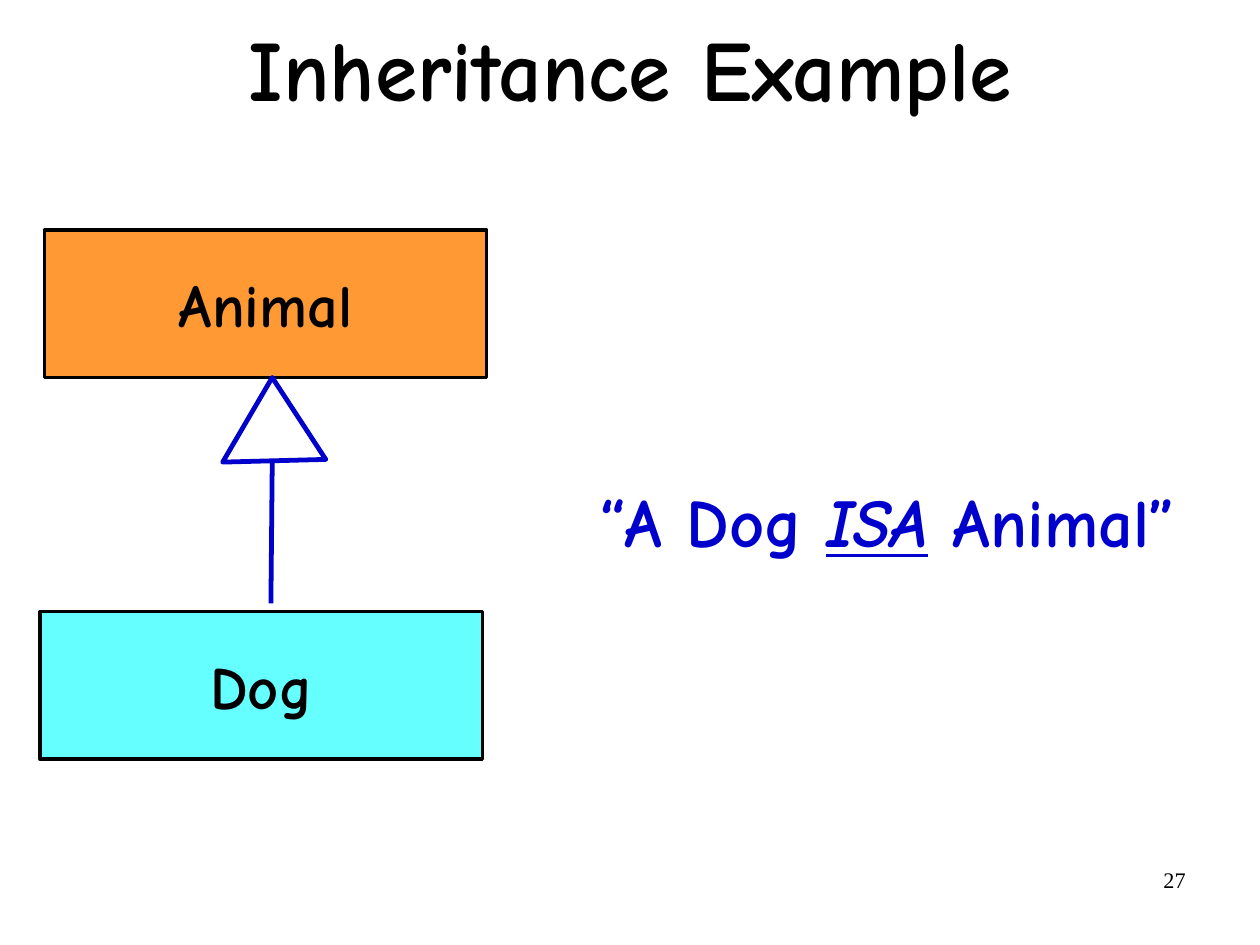
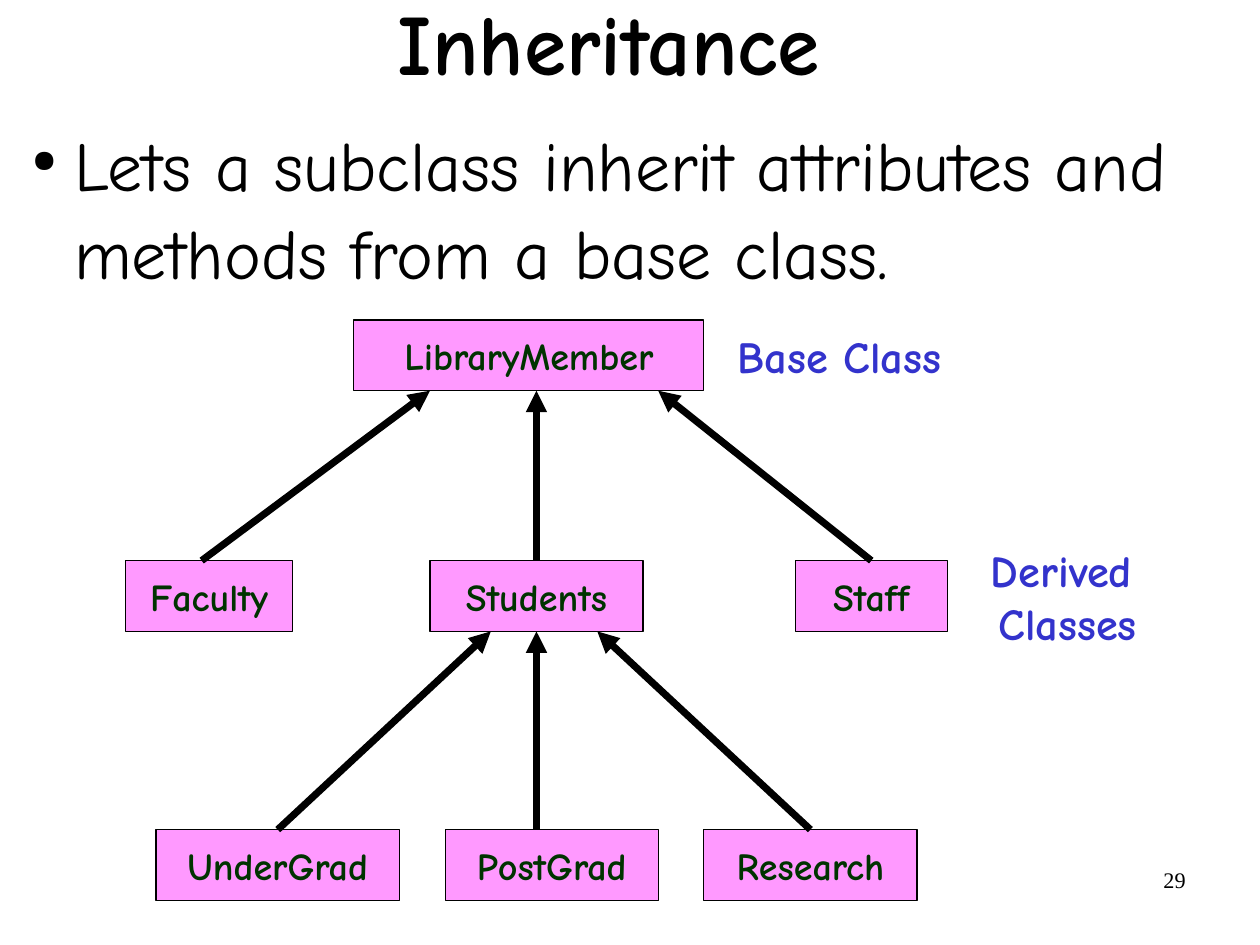
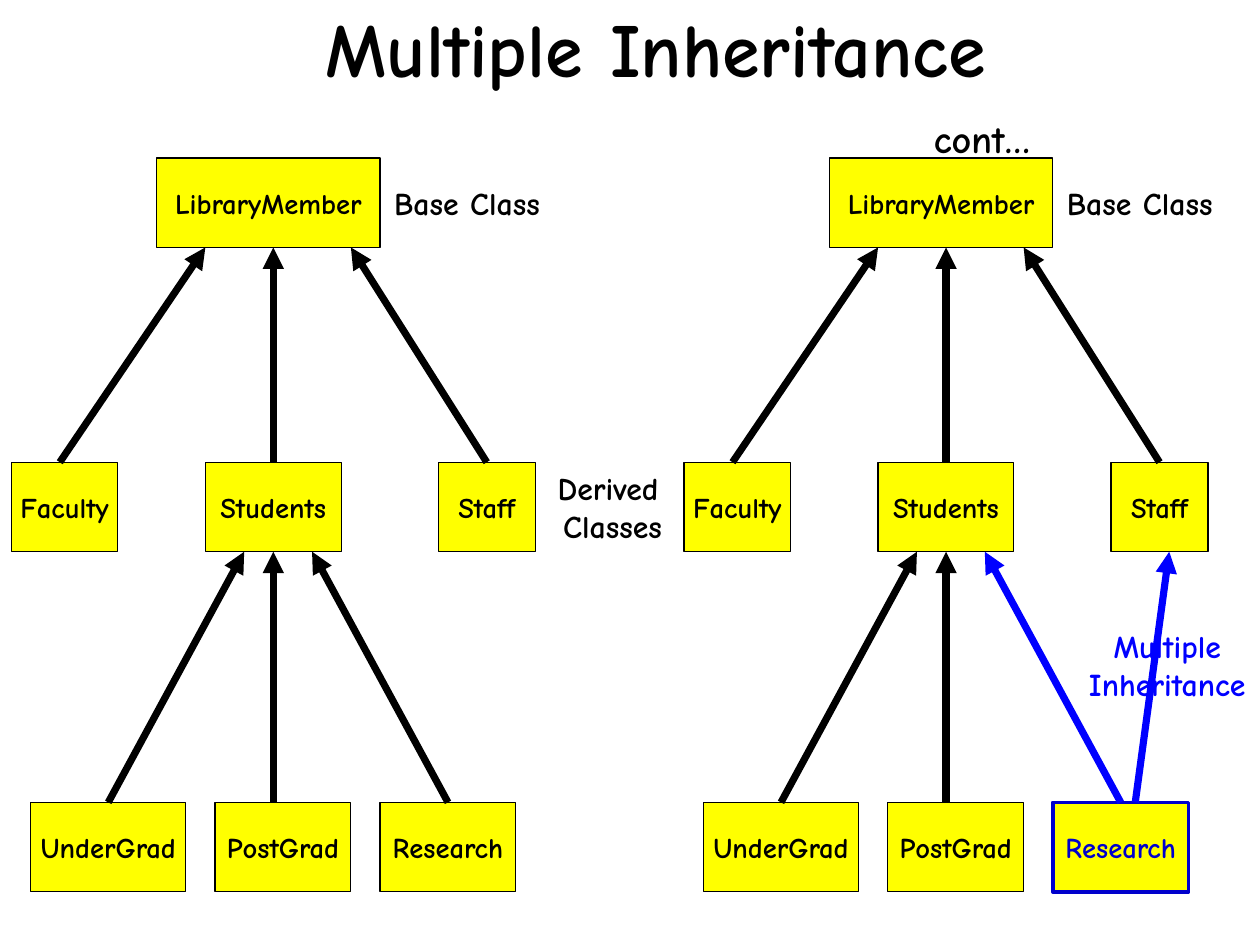
from collections import namedtuple
from dataclasses import dataclass

from lxml import etree
from pptx import Presentation
from pptx.dml.color import RGBColor
from pptx.enum.shapes import MSO_CONNECTOR, MSO_SHAPE
from pptx.enum.text import MSO_ANCHOR, PP_ALIGN
from pptx.oxml.ns import qn
from pptx.util import Cm, Pt

CENTER, LEFT, RIGHT = PP_ALIGN.CENTER, PP_ALIGN.LEFT, PP_ALIGN.RIGHT
TOP, MIDDLE = MSO_ANCHOR.TOP, MSO_ANCHOR.MIDDLE
RECTANGLE, STRAIGHT = MSO_SHAPE.RECTANGLE, MSO_CONNECTOR.STRAIGHT
TOP_SITE, BOTTOM_SITE = 0, 2

Box = namedtuple("Box", "left top width height")  # centimetres
Node = namedtuple("Node", "column row width")
Edge = namedtuple("Edge", "child start parent end")


@dataclass(frozen=True)
class Theme:
    font: str = "Comic Neue"
    number_font: str = "Times New Roman"
    black: str = "000000"
    navy: str = "0000CC"
    blue: str = "0000FF"
    indigo: str = "3333CC"
    green: str = "003300"
    orange: str = "FF9933"
    cyan: str = "66FFFF"
    pink: str = "FF99FF"
    yellow: str = "FFFF00"
    title: float = 54
    long_title: float = 48
    subtitle: float = 24
    body: float = 44
    quote: float = 43
    class_name: float = 38
    number: float = 14
    thin: float = 0.75
    medium: float = 2.25
    thick: float = 4.5


THEME = Theme()


@dataclass(frozen=True)
class TreeStyle:
    fill: str
    text: str
    label: str
    node_size: float
    label_size: float


PINK_TREE = TreeStyle(THEME.pink, THEME.green, THEME.indigo, 24, 28)
YELLOW_TREE = TreeStyle(THEME.yellow, THEME.black, THEME.black, 18, 20)

# The class tree is laid out on a grid of columns and rows.
COLUMNS, ROWS, NODE_ROWS, LABEL_COLUMNS = 67, 41, 5, 19
NODES = {
    "LibraryMember": Node(15, 0, 23),
    "Faculty": Node(0, 17, 11),
    "Students": Node(20, 17, 14),
    "Staff": Node(44, 17, 10),
    "UnderGrad": Node(2, 36, 16),
    "PostGrad": Node(21, 36, 14),
    "Research": Node(38, 36, 14),
}
EDGES = [
    Edge("Faculty", 5, "LibraryMember", 20),
    Edge("Students", 27, "LibraryMember", 27),
    Edge("Staff", 49, "LibraryMember", 35),
    Edge("UnderGrad", 10, "Students", 24),
    Edge("PostGrad", 27, "Students", 27),
    Edge("Research", 45, "Students", 31),
]
SECOND_PARENT = Edge("Research", 46.5, "Staff", 50)


def color(code):
    return RGBColor.from_string(code)


def lengths(box):
    return [Cm(value) for value in box]


def set_frame(shape, anchor, margin_x=0, margin_y=0):
    frame = shape.text_frame
    frame.word_wrap = True
    frame.vertical_anchor = anchor
    frame.margin_left = frame.margin_right = Cm(margin_x)
    frame.margin_top = frame.margin_bottom = Cm(margin_y)
    return frame


def add_span(para, text, size, code, bold=True, font=THEME.font):
    span = para.add_run()
    span.text = text
    span.font.size = Pt(size)
    span.font.name = font
    span.font.bold = bold
    span.font.color.rgb = color(code)
    return span


def add_para(frame, first=False, align=CENTER, indent=0):
    para = frame.paragraphs[0] if first else frame.add_paragraph()
    para.alignment = align
    if indent:
        para._p.get_or_add_pPr().set("marL", str(Cm(indent)))
    return para


def add_text_box(page, box, anchor=TOP, margin_x=0, margin_y=0.15):
    return set_frame(page.shapes.add_textbox(*lengths(box)), anchor, margin_x, margin_y)


def add_class_box(page, box, name, size, fill, text, outline, width):
    shape = page.shapes.add_shape(RECTANGLE, *lengths(box))
    shape.shadow.inherit = False
    shape.fill.solid()
    shape.fill.fore_color.rgb = color(fill)
    shape.line.color.rgb = color(outline)
    shape.line.width = Pt(width)
    add_span(add_para(set_frame(shape, MIDDLE), first=True), name, size, text)
    return shape


def add_line(page, start, end, code, width, arrow=False):
    line = page.shapes.add_connector(STRAIGHT, *lengths(start + end))
    line.line.color.rgb = color(code)
    line.line.width = Pt(width)
    if arrow:
        etree.SubElement(line.line._get_or_add_ln(), qn("a:tailEnd"), type="triangle")
    etree.SubElement(line._element.spPr, qn("a:effectLst"))
    return line


def add_page(deck, number):
    """Add a blank page with its page number."""
    page = deck.slides.add_slide(deck.slide_layouts[6])
    frame = add_text_box(page, Box(20.07, 19.13, 6.53, 1.45), margin_x=0.25, margin_y=0.13)
    para = add_para(frame, first=True, align=RIGHT)
    add_span(para, str(number), THEME.number, THEME.black, False, THEME.number_font)
    return page


def add_title(page, box, text, size=THEME.title, spacing=0.94):
    frame = add_text_box(page, box, MIDDLE, margin_x=0.05)
    para = add_para(frame, first=True)
    para.line_spacing = spacing
    add_span(para, text, size, THEME.black)
    return frame


def add_bullet(page, box, text):
    frame = add_text_box(page, box, margin_x=0.05)
    para = add_para(frame, first=True, align=LEFT, indent=0.94)
    para.line_spacing = 1.05
    properties = para._p.get_or_add_pPr()
    properties.set("indent", str(Cm(-0.94)))
    etree.SubElement(properties, qn("a:buSzPct"), val="45000")
    etree.SubElement(properties, qn("a:buChar"), char="●")
    add_span(para, text, THEME.body, THEME.black, bold=False)


def add_quote(page, box):
    para = add_para(add_text_box(page, box, margin_x=0.28), first=True)
    for text, stressed in (("“A Dog ", False), ("ISA", True), (" Animal”", False)):
        span = add_span(para, text, THEME.quote, THEME.navy)
        span.font.italic = span.font.underline = stressed


def add_generalization(page, box):
    """Draw a parent above a child, with a hollow triangle between them."""
    left, top = box.left, box.top
    height = 3.28
    parts = (
        ("Animal", THEME.orange, left + 0.1, top),
        ("Dog", THEME.cyan, left, top + box.height - height),
    )
    for name, fill, x, y in parts:
        add_class_box(page, Box(x, y, box.width - 0.1, height), name,
                      THEME.class_name, fill, THEME.black, THEME.black, 2)
    add_line(page, (left + 5.13, top + 8.3), (left + 5.16, top + 5.15), THEME.navy, 3)
    corners = [(left + x, top + y) for x, y in ((5.16, 3.28), (4.06, 5.16), (6.35, 5.1))]
    points = [lengths(corner) for corner in corners]
    builder = page.shapes.build_freeform(*points[0])
    builder.add_line_segments(points[1:], close=True)
    triangle = builder.convert_to_shape()
    triangle.shadow.inherit = False
    triangle.fill.background()
    triangle.line.color.rgb = color(THEME.navy)
    triangle.line.width = Pt(3)


def grid_point(box, column, row):
    return (box.left + box.width * column / COLUMNS, box.top + box.height * row / ROWS)


def grid_box(box, column, row, columns):
    return Box(*grid_point(box, column, row),
               box.width * columns / COLUMNS, box.height * NODE_ROWS / ROWS)


def add_tree_label(page, box, column, row, lines, size, code, indent=0):
    """Add a label whose last line is shifted by the indent."""
    frame = add_text_box(page, grid_box(box, column, row, LABEL_COLUMNS), MIDDLE, margin_y=0)
    for index, text in enumerate(lines):
        last = index == len(lines) - 1
        para = add_para(frame, index == 0, indent=indent if last else 0)
        add_span(para, text, size, code)


def add_edge(page, box, edge, shapes, code):
    """Draw an arrow from child to parent, joined where it meets a middle."""
    child, parent = NODES[edge.child], NODES[edge.parent]
    line = add_line(page, grid_point(box, edge.start, child.row),
                    grid_point(box, edge.end, parent.row + NODE_ROWS),
                    code, THEME.thick, arrow=True)
    if edge.start == child.column + child.width / 2:
        line.begin_connect(shapes[edge.child], TOP_SITE)
    if edge.end == parent.column + parent.width / 2:
        line.end_connect(shapes[edge.parent], BOTTOM_SITE)


def add_class_tree(page, box, style, multiple=False):
    shapes = {}
    for name, node in NODES.items():
        marked = multiple and name == "Research"
        shapes[name] = add_class_box(
            page, grid_box(box, *node), name, style.node_size, style.fill,
            THEME.navy if marked else style.text,
            THEME.navy if marked else THEME.black,
            THEME.medium if marked else THEME.thin)
    for edge in EDGES + [SECOND_PARENT] * multiple:
        marked = multiple and edge.child == "Research"
        add_edge(page, box, edge, shapes, THEME.blue if marked else THEME.black)
    space = style.label_size / 100
    add_tree_label(page, box, 37, 0, ["Base Class"], style.label_size, style.label, space)
    if multiple:
        add_tree_label(page, box, 40.3, 25.8, ["Multiple", "Inheritance"],
                       style.label_size, THEME.blue)
    else:
        add_tree_label(page, box, 52, 17, ["Derived", "Classes"],
                       style.label_size, style.label, space)


def build_example(deck):
    page = add_page(deck, 27)
    add_title(page, Box(2.06, -0.08, 23.88, 3.48), "Inheritance Example", spacing=0.88)
    add_quote(page, Box(11.43, 10.49, 16.56, 2.11))
    add_generalization(page, Box(0.89, 5.11, 9.93, 11.76))


def build_inheritance(deck):
    page = add_page(deck, 29)
    add_bullet(page, Box(0.66, 2.46, 26.87, 14.55),
               "Lets a subclass inherit attributes and methods from a base class.")
    add_title(page, Box(1.63, -0.71, 23.8, 3.48), "Inheritance")
    add_class_tree(page, Box(2.79, 7.11, 22.66, 12.9), PINK_TREE)


def build_multiple_inheritance(deck):
    page = add_page(deck, 30)
    frame = add_title(page, Box(1.73, 0, 25.68, 3.78), "Multiple Inheritance", THEME.long_title)
    para = add_para(frame, indent=14.5)
    para.space_before = Pt(13)
    add_span(para, "cont…", THEME.subtitle, THEME.black)
    for left, multiple in ((0.25, False), (15.2, True)):
        add_class_tree(page, Box(left, 3.51, 14.45, 16.31), YELLOW_TREE, multiple)


def main():
    deck = Presentation()
    deck.slide_width, deck.slide_height = Cm(28), Cm(21)
    build_example(deck)
    build_inheritance(deck)
    build_multiple_inheritance(deck)
    deck.save("out.pptx")


if __name__ == "__main__":
    main()
